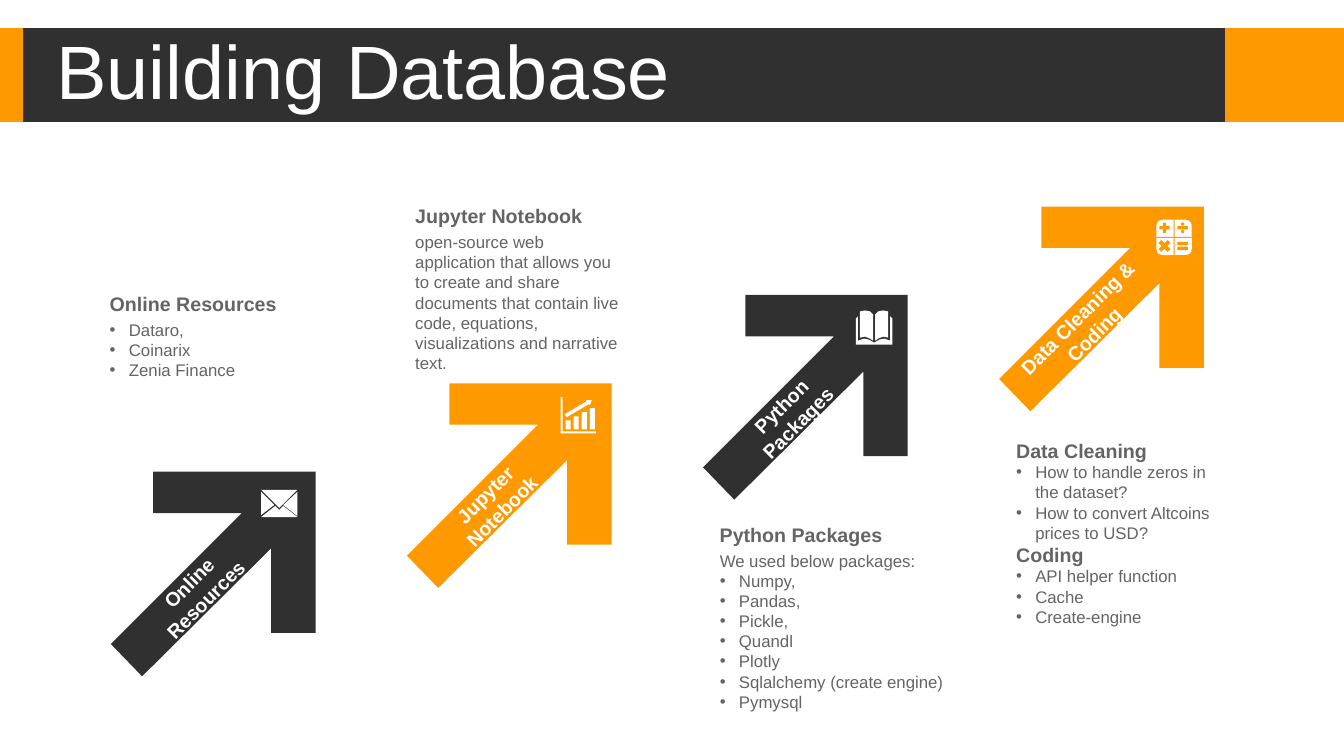
from dataclasses import dataclass

from lxml import etree
from pptx import Presentation
from pptx.dml.color import RGBColor
from pptx.enum.shapes import MSO_SHAPE
from pptx.enum.text import MSO_ANCHOR, PP_ALIGN
from pptx.oxml.ns import qn
from pptx.util import Inches, Pt

RECT, ROUNDED = MSO_SHAPE.RECTANGLE, MSO_SHAPE.ROUNDED_RECTANGLE
PLUS, DIVIDE = MSO_SHAPE.MATH_PLUS, MSO_SHAPE.MATH_DIVIDE
TIMES, EQUAL = MSO_SHAPE.MATH_MULTIPLY, MSO_SHAPE.MATH_EQUAL
TOP, MIDDLE = MSO_ANCHOR.TOP, MSO_ANCHOR.MIDDLE
LEFT, CENTER = PP_ALIGN.LEFT, PP_ALIGN.CENTER


@dataclass(frozen=True)
class Theme:
    orange: RGBColor = RGBColor(0xFE, 0x99, 0x00)
    dark: RGBColor = RGBColor(0x30, 0x30, 0x30)
    white: RGBColor = RGBColor(0xFF, 0xFF, 0xFF)
    gray: RGBColor = RGBColor(0x64, 0x64, 0x64)
    font: str = "Arial"
    title: int = 54
    heading: int = 14
    body: int = 12


theme = Theme()
HEADING, PLAIN, BULLET, LABEL = "heading", "plain", "bullet", "label"

prs = Presentation()
prs.slide_width, prs.slide_height = Inches(13.33), Inches(7.5)
slide = prs.slides.add_slide(prs.slide_layouts[5])


def add_filled(outline, color):
    """Add a preset (shape, left, top, width, height) or a list of contours."""
    if isinstance(outline, tuple):
        preset, *box = outline
        shape = slide.shapes.add_shape(preset, *map(Inches, box))
    else:
        contours = [[(Inches(x), Inches(y)) for x, y in c] for c in outline]
        builder = slide.shapes.build_freeform(*contours[0][0])
        for number, (start, *rest) in enumerate(contours):
            if number:
                builder.move_to(*start)
            builder.add_line_segments(rest, close=True)
        shape = builder.convert_to_shape()
    shape.shadow.inherit = False
    shape.fill.solid()
    shape.fill.fore_color.rgb = color
    shape.line.fill.background()
    return shape


def add_text(box, lines, anchor=TOP):
    """Add a text box; each line is a (kind, text) pair."""
    text_box = slide.shapes.add_textbox(*map(Inches, box))
    frame = text_box.text_frame
    frame.word_wrap = True
    frame.vertical_anchor = anchor
    for number, (kind, text) in enumerate(lines):
        paragraph = frame.add_paragraph() if number else frame.paragraphs[0]
        paragraph.text = text
        paragraph.alignment = CENTER if kind == LABEL else LEFT
        if kind == BULLET:
            properties = paragraph._p.get_or_add_pPr()
            properties.set("marL", str(Inches(0.19)))
            properties.set("indent", str(-Inches(0.19)))
            etree.SubElement(properties, qn("a:buFont"), typeface=theme.font)
            etree.SubElement(properties, qn("a:buChar"), char="•")
        font = paragraph.runs[0].font
        font.name = theme.font
        font.bold = kind in (HEADING, LABEL)
        font.size = Pt(theme.heading if font.bold else theme.body)
        font.color.rgb = theme.white if kind == LABEL else theme.gray
    return text_box


# Title band
for left, width, color in [(12.15, 1.18, theme.orange), (0, 12.15, theme.dark),
                           (0, 0.23, theme.orange)]:
    add_filled((RECT, left, 0.28, width, 0.93), color)

title = slide.shapes.title
slide.shapes._spTree.append(title._element)  # bring in front of the band
title.left, title.top = Inches(0.46), Inches(0.35)
title.width, title.height = Inches(9.7), Inches(0.79)
title.text_frame.text = "Building Database"
title.text_frame.vertical_anchor = MIDDLE
title_line = title.text_frame.paragraphs[0]
title_line.alignment = LEFT
title_line.line_spacing = 0.9
title_font = title_line.runs[0].font
title_font.name, title_font.size = theme.font, Pt(theme.title)
title_font.color.rgb = theme.white

# Rising arrows with slanted labels
ARROW = [(0.42, 0), (2.03, 0), (2.03, 1.6), (1.59, 1.6), (1.59, 0.76),
         (0.31, 2.03), (0, 1.71), (1.3, 0.41), (0.42, 0.41)]
STEP, RISE = 8.81 / 3, 2.63 / 3
steps = ["Online Resources", "Jupyter Notebook", "Python Packages",
         "Data Cleaning & Coding"]
for number, step in enumerate(steps):
    left, top = 1.1 + number * STEP, 4.68 - number * RISE
    add_filled([[(left + x, top + y) for x, y in ARROW]],
               theme.orange if number % 2 else theme.dark)
    label = add_text((left - 0.03, top + 0.9, 1.77, 0.57), [(LABEL, step)], MIDDLE)
    label.rotation = 315

# Descriptions: left, top, body width, body height, heading, body lines
descriptions = [
    (0.99, 2.84, 2.27, 0.91, "Online Resources",
     [(BULLET, source) for source in ("Dataro,", "Coinarix", "Zenia Finance")]),
    (4.02, 1.97, 2.27, 1.51, "Jupyter Notebook",
     [(PLAIN, "open-source web application that allows you to create and share "
              "documents that contain live code, equations, visualizations and "
              "narrative text.")]),
    (7.04, 5.13, 2.51, 1.92, "Python Packages",
     [(PLAIN, "We used below packages:")]
     + [(BULLET, package) for package in (
         "Numpy,", "Pandas,", "Pickle,", "Quandl", "Plotly",
         "Sqlalchemy (create engine)", "Pymysql")]),
]
for left, top, width, height, heading, lines in descriptions:
    add_text((left, top, 2.27, 0.34), [(HEADING, heading)], MIDDLE)
    add_text((left, top + 0.28, width, height), lines)

add_text((9.98, 4.3, 2.27, 2.22), [
    (HEADING, "Data Cleaning"),
    (BULLET, "How to handle zeros in the dataset?"),
    (BULLET, "How to convert Altcoins prices to USD?"),
    (HEADING, "Coding"),
    (BULLET, "API helper function"),
    (BULLET, "Cache"),
    (BULLET, "Create-engine"),
])

# Envelope icon
envelope = [
    [(2.81, 5.02), (2.95, 5.13), (2.59, 5.13), (2.73, 5.02), (2.77, 5.06)],
    [(2.95, 4.88), (2.95, 5.12), (2.81, 5.01)],
    [(2.59, 4.88), (2.72, 5.01), (2.59, 5.11)],
    [(2.59, 4.86), (2.95, 4.86), (2.77, 5.04)],
]

# Growth chart icon: bars, trend arrow, axes
growth = []
for number in range(4):
    x, y = 5.61 + number * 0.08, 4.17 - number * 0.04
    growth.append([(x, y), (x + 0.05, y), (x + 0.05, 4.26), (x, 4.26)])
growth += [
    [(5.81, 3.97), (5.87, 3.97), (5.85, 4.02), (5.84, 4.01), (5.62, 4.14),
     (5.6, 4.11), (5.82, 3.98)],
    [(5.56, 3.94), (5.58, 3.94), (5.58, 4.28), (5.91, 4.28), (5.91, 4.3),
     (5.56, 4.3)],
]

# Open book icon: two mirrored pages and the cover
right_page = [(8.68, 3.12), (8.71, 3.09), (8.76, 3.08), (8.81, 3.09),
              (8.81, 3.35), (8.76, 3.34), (8.71, 3.36), (8.68, 3.38)]
book = [
    right_page,
    [(2 * 8.67 - x, y) for x, y in right_page],
    [(8.49, 3.16), (8.51, 3.14), (8.51, 3.38), (8.57, 3.36), (8.62, 3.37),
     (8.67, 3.4), (8.72, 3.37), (8.77, 3.36), (8.83, 3.38), (8.83, 3.14),
     (8.85, 3.16), (8.85, 3.42), (8.49, 3.42)],
]
for icon in (envelope, growth, book):
    add_filled(icon, theme.white)

# Calculator icon: rounded key pad, dividers, four signs
add_filled((ROUNDED, 11.47, 2.18, 0.35, 0.35), theme.white)
add_filled((RECT, 11.64, 2.18, 0.01, 0.35), theme.orange)
add_filled((RECT, 11.47, 2.35, 0.35, 0.01), theme.orange)
for sign, x, y, size in [(PLUS, 11.55, 2.26, 0.14), (DIVIDE, 11.73, 2.26, 0.14),
                         (TIMES, 11.55, 2.44, 0.17), (EQUAL, 11.73, 2.44, 0.14)]:
    add_filled((sign, x - size / 2, y - size / 2, size, size), theme.orange)

prs.save("out.pptx")
